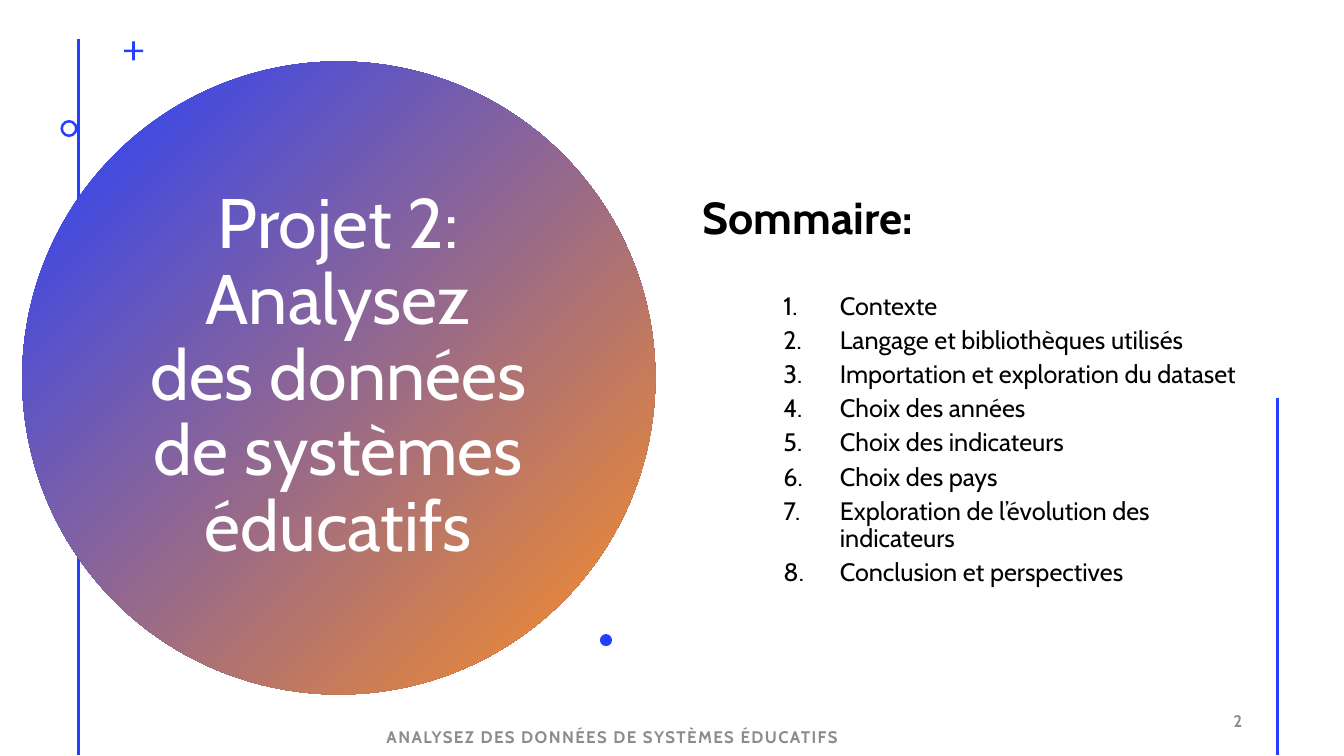
from typing import NamedTuple

from lxml import etree
from pptx import Presentation
from pptx.dml.color import RGBColor
from pptx.enum.shapes import MSO_CONNECTOR, MSO_SHAPE
from pptx.enum.text import MSO_ANCHOR, MSO_AUTO_SIZE, PP_ALIGN
from pptx.oxml.ns import qn
from pptx.util import Inches, Pt

FONT = "Cabin"
BLUE = RGBColor(0x24, 0x3F, 0xFF)
ORANGE = RGBColor(0xFF, 0x90, 0x22)
WHITE = RGBColor(0xFF, 0xFF, 0xFF)
BLACK = RGBColor(0, 0, 0)
GREY = RGBColor(0x8C, 0x8C, 0x8C)

LEFT, CENTER, RIGHT = PP_ALIGN.LEFT, PP_ALIGN.CENTER, PP_ALIGN.RIGHT
MIDDLE = MSO_ANCHOR.MIDDLE
NO_AUTOFIT = MSO_AUTO_SIZE.NONE
STRAIGHT = MSO_CONNECTOR.STRAIGHT
OVAL, DONUT, CROSS = MSO_SHAPE.OVAL, MSO_SHAPE.DONUT, MSO_SHAPE.CROSS


class Ornament(NamedTuple):
    kind: MSO_SHAPE
    left: float
    top: float
    size: float
    adjustment: float | None = None


class VerticalRule(NamedTuple):
    x: float
    top: float


class FooterText(NamedTuple):
    text: str
    left: float
    top: float
    width: float
    align: PP_ALIGN


RULES = [VerticalRule(0.78, 0.39), VerticalRule(12.67, 3.95)]
RULE_BOTTOM = 7.49
ORNAMENTS = [
    Ornament(CROSS, 1.23, 0.41, 0.19, 0.43),
    Ornament(DONUT, 0.6, 1.19, 0.17, 0.15),
    Ornament(OVAL, 5.95, 6.29, 0.12),
]
FOOTERS = [
    FooterText("ANALYSEZ DES DONNÉES DE SYSTÈMES ÉDUCATIFS", 3.2, 7.11, 5.75, CENTER),
    FooterText("2", 9.42, 6.95, 3, RIGHT),
]
TOPICS = [
    "Contexte",
    "Langage et bibliothèques utilisés",
    "Importation et exploration du dataset",
    "Choix des années",
    "Choix des indicateurs",
    "Choix des pays",
    "Exploration de l’évolution des indicateurs",
    "Conclusion et perspectives",
]


def place(sp, left: float, top: float, width: float, height: float):
    """Position a text shape and return its emptied, wrapped text frame."""
    sp.left, sp.top = Inches(left), Inches(top)
    sp.width, sp.height = Inches(width), Inches(height)
    tf = sp.text_frame
    tf.word_wrap = True
    tf.auto_size = NO_AUTOFIT
    tf.vertical_anchor = MIDDLE
    return tf


def write(p, text: str, *, size: float, color: RGBColor, bold: bool = False,
          align: PP_ALIGN = LEFT, line: float = 1.0, before: float = 0,
          margin: float = 0, indent: float = 0, numbered: bool = False,
          tracking: float = 0) -> None:
    """Fill a paragraph with one formatted run; margins in inches, the rest in points."""
    p.alignment, p.line_spacing = align, line
    p.space_before, p.space_after = Pt(before), Pt(0)
    pPr = p._p.get_or_add_pPr()
    pPr.set("marL", str(Inches(margin)))
    pPr.set("indent", str(Inches(indent)))
    if numbered:
        etree.SubElement(pPr, qn("a:buFont"), typeface="+mj-lt")
        etree.SubElement(pPr, qn("a:buAutoNum"), type="arabicPeriod")
    else:
        etree.SubElement(pPr, qn("a:buNone"))
    r = p.add_run()
    r.text = text
    r.font.name, r.font.size = FONT, Pt(size)
    r.font.bold, r.font.color.rgb = bold, color
    if tracking:
        r._r.get_or_add_rPr().set("spc", str(int(tracking * 100)))


def add_rule(slide, rule: VerticalRule) -> None:
    x = Inches(rule.x)
    line = slide.shapes.add_connector(STRAIGHT, x, Inches(rule.top), x, Inches(RULE_BOTTOM))
    line.line.color.rgb, line.line.width = BLUE, Pt(2)
    etree.SubElement(line._element.spPr, qn("a:effectLst"))


def add_ornament(slide, item: Ornament):
    size = Inches(item.size)
    sp = slide.shapes.add_shape(item.kind, Inches(item.left), Inches(item.top), size, size)
    sp.shadow.inherit = False
    sp.line.fill.background()
    sp.fill.solid()
    sp.fill.fore_color.rgb = BLUE
    if item.adjustment is not None:
        sp.adjustments[0] = item.adjustment
    return sp


def add_gradient_disc(slide) -> None:
    fill = add_ornament(slide, Ornament(OVAL, 0.22, 0.61, 6.28)).fill
    fill.gradient()
    fill.gradient_angle = 315
    for stop, color, position in zip(fill.gradient_stops, (BLUE, ORANGE), (0, 1)):
        stop.color.rgb, stop.position = color, position


def bring_to_front(slide, sp) -> None:
    slide.shapes._spTree.append(sp._element)


def fill_title(slide) -> None:
    title = slide.shapes.title
    bring_to_front(slide, title)
    tf = place(title, 1.36, 1.41, 3.99, 4.67)
    write(tf.paragraphs[0], "Projet 2: Analysez des données de systèmes éducatifs",
          size=50, color=WHITE, align=CENTER, line=0.9)


def fill_summary(slide) -> None:
    body = slide.placeholders[1]
    bring_to_front(slide, body)
    tf = place(body, 6.67, 0.62, 6, 6.53)
    write(tf.paragraphs[0], "Sommaire:", size=32, color=BLACK, bold=True,
          line=0.9, margin=0.2)
    for i, topic in enumerate(TOPICS):
        p = tf.add_paragraph()
        p.level = 1
        write(p, topic, size=18, color=BLACK, line=0.9, before=5 if i else 35,
              margin=1.56, indent=-0.56, numbered=True)


def add_footer(slide, item: FooterText) -> None:
    sp = slide.shapes.add_textbox(0, 0, 0, 0)
    tf = place(sp, item.left, item.top, item.width, 0.4)
    write(tf.paragraphs[0], item.text, size=12, color=GREY, bold=True,
          align=item.align, tracking=1)


def main() -> None:
    prs = Presentation()
    prs.slide_width, prs.slide_height = Inches(13.33), Inches(7.5)
    slide = prs.slides.add_slide(prs.slide_layouts[1])
    for rule in RULES:
        add_rule(slide, rule)
    add_gradient_disc(slide)
    fill_title(slide)
    fill_summary(slide)
    for ornament in ORNAMENTS:
        add_ornament(slide, ornament)
    for footer in FOOTERS:
        add_footer(slide, footer)
    prs.save("out.pptx")


if __name__ == "__main__":
    main()
